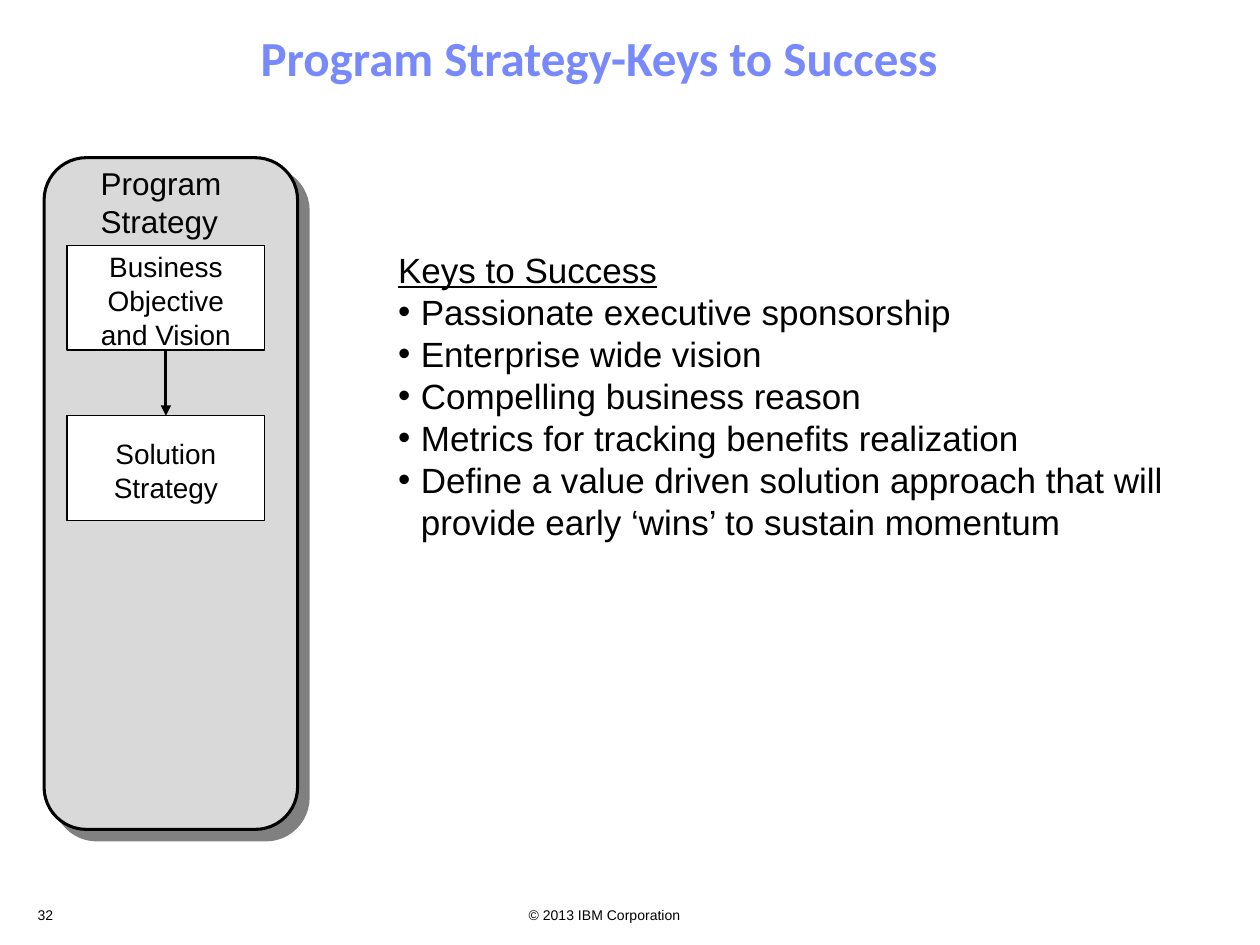
from lxml.etree import SubElement
from pptx import Presentation
from pptx.dml.color import RGBColor
from pptx.enum.shapes import MSO_CONNECTOR, MSO_SHAPE
from pptx.enum.text import MSO_ANCHOR, MSO_AUTO_SIZE, PP_ALIGN
from pptx.oxml.ns import qn
from pptx.util import Cm, Pt

TITLE = "Program Strategy-Keys to Success"
PANEL_HEADING = ["Program", "Strategy"]
STEPS = ["Business Objective and Vision", "Solution Strategy"]
KEYS_HEADING = "Keys to Success"
KEYS = [
    "Passionate executive sponsorship",
    "Enterprise wide vision",
    "Compelling business reason",
    "Metrics for tracking benefits realization",
    "Define a value driven solution approach that will provide early ‘wins’ to sustain momentum",
]
COPYRIGHT = "© 2013 IBM Corporation"
PAGE = "32"

BLACK, WHITE, GREY, SHADOW, BLUE = "000000", "FFFFFF", "D9D9D9", "808080", "7889FB"
STEP_LEFT, STEP_TOP, STEP_W, STEP_H, STEP_PITCH = 1.35, 4.95, 3.99, 2.11, 3.43


def rgb(value):
    return RGBColor.from_string(value)


def write(tf, lines, size, align=PP_ALIGN.LEFT, color=BLACK, **font):
    for i, line in enumerate(lines):
        p = tf.paragraphs[0] if i == 0 else tf.add_paragraph()
        p.alignment = align
        r = p.add_run()
        r.text = line
        r.font.color.rgb = rgb(color)
        for name, value in {"name": "Arial", "size": Pt(size), **font}.items():
            setattr(r.font, name, value)


def add_text(s, box, lines, size, align=PP_ALIGN.LEFT, wrap=True):
    tf = s.shapes.add_textbox(*map(Cm, box)).text_frame
    tf.word_wrap = wrap
    write(tf, lines, size, align)


def add_box(s, kind, box, fill, width):
    sp = s.shapes.add_shape(kind, *map(Cm, box))
    sp.shadow.inherit = False
    sp.fill.solid()
    sp.fill.fore_color.rgb = rgb(fill)
    sp.line.color.rgb = rgb(BLACK)
    sp.line.width = Pt(width)
    return sp


def place(sp, box):
    """Move a placeholder and let its text start at the top."""
    for name, value in zip(("left", "top", "width", "height"), box):
        setattr(sp, name, Cm(value))
    tf = sp.text_frame
    tf.auto_size = MSO_AUTO_SIZE.NONE
    tf.vertical_anchor = MSO_ANCHOR.TOP
    return tf


prs = Presentation()
prs.slide_width, prs.slide_height = Cm(25.4), Cm(19.05)
s = prs.slides.add_slide(prs.slide_layouts[1])

# Title
tf = place(s.shapes.title, (5, 0.56, 17.65, 1.78))
write(tf, [TITLE], 28, color=BLUE, name="Calibri", bold=True)
tf.paragraphs[0].line_spacing = 0.9

# Keys to success
tf = place(s.placeholders[1], (7.77, 4.88, 17.78, 7.04))
write(tf, [KEYS_HEADING, *KEYS], 20)
for i, p in enumerate(tf.paragraphs):
    p.space_before = Pt(0)
    pPr = p._p.get_or_add_pPr()
    pPr.set("marL", str(Cm(0.46)))
    pPr.set("indent", str(-Cm(0.46)))
    if i:
        SubElement(pPr, qn("a:buChar"), char="•")
    else:
        SubElement(pPr, qn("a:buNone"))
tf.paragraphs[0].runs[0].font.underline = True

# Strategy panel
panel = add_box(s, MSO_SHAPE.ROUNDED_RECTANGLE, (0.89, 3.18, 5.11, 13.54), GREY, 1.75)
effects = panel._element.spPr.find(qn("a:effectLst"))
shadow = SubElement(effects, qn("a:outerShdw"), dist=str(Pt(8.5)), dir="2700000",
                    algn="ctr", rotWithShape="0")
SubElement(shadow, qn("a:srgbClr"), val=SHADOW)
add_text(s, (1.78, 3.18, 3.12, 1.78), PANEL_HEADING, 18, wrap=False)

steps = []
for i, text in enumerate(STEPS):
    sp = add_box(s, MSO_SHAPE.RECTANGLE,
                 (STEP_LEFT, STEP_TOP + i * STEP_PITCH, STEP_W, STEP_H), WHITE, 0.75)
    tf = sp.text_frame
    tf.word_wrap = True
    tf.vertical_anchor = MSO_ANCHOR.MIDDLE
    tf.margin_left = tf.margin_right = Cm(0.56)
    tf.margin_top, tf.margin_bottom = Cm(0.1), Cm(0)
    write(tf, [text], 16, PP_ALIGN.CENTER)
    steps.append(sp)

for upper, lower in zip(steps, steps[1:]):
    arrow = s.shapes.add_connector(MSO_CONNECTOR.STRAIGHT, 0, 0, 0, 0)
    arrow.begin_connect(upper, 2)
    arrow.end_connect(lower, 0)
    arrow.line.color.rgb = rgb(BLACK)
    arrow.line.width = Pt(1.75)
    SubElement(arrow.line._get_or_add_ln(), qn("a:tailEnd"), type="triangle")
    SubElement(arrow._element.spPr, qn("a:effectLst"))

# Footer
add_text(s, (10.16, 18.16, 3.81, 0.51), [COPYRIGHT], 8, PP_ALIGN.RIGHT)
add_text(s, (0.51, 18.16, 1.02, 0.51), [PAGE], 8)

prs.save("out.pptx")
